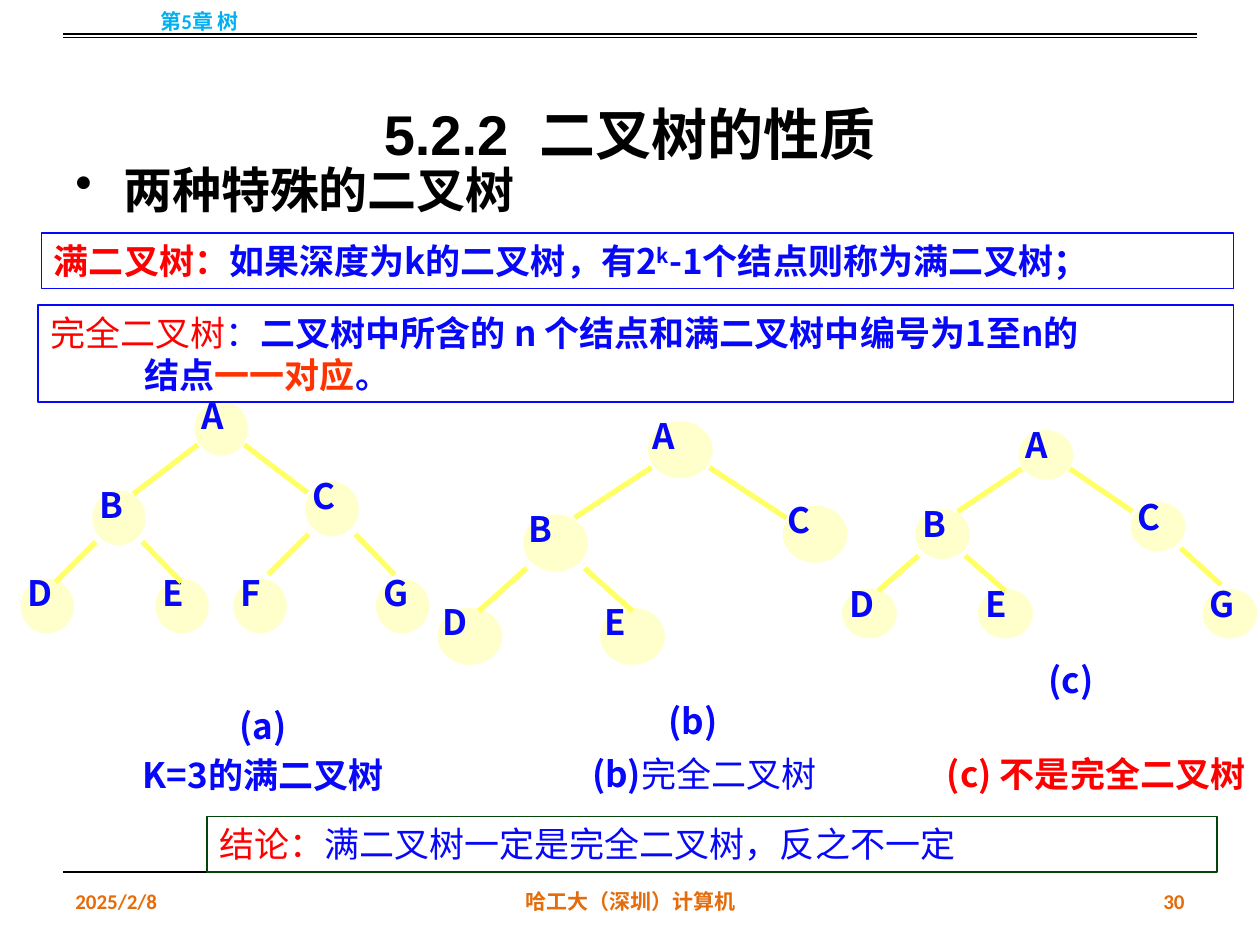
from pptx import Presentation
from pptx.dml.color import RGBColor
from pptx.enum.shapes import MSO_CONNECTOR as Connector, MSO_SHAPE as Shape
from pptx.enum.text import MSO_ANCHOR as Anchor, PP_ALIGN as Align
from pptx.oxml.ns import qn
from pptx.util import Pt
from lxml.etree import SubElement

PX = 9144
BLACK = RGBColor(0x00, 0x00, 0x00)
BLUE = RGBColor(0x07, 0x07, 0xF9)
RED = RGBColor(0xFF, 0x00, 0x00)
VERMILION = RGBColor(0xFF, 0x33, 0x00)
ORANGE = RGBColor(0xE4, 0x6C, 0x0A)
SKY = RGBColor(0x00, 0xB0, 0xF0)
GREEN = RGBColor(0x04, 0x44, 0x0A)
CREAM = RGBColor(0xFF, 0xFF, 0xCC)
YELLOW = RGBColor(0xFF, 0xFF, 0x66)
SANS, SERIF, CALIBRI, ARIAL = "Noto Sans CJK SC", "Times New Roman", "Calibri", "Arial"


class TreeSlide:
    """Draws styled text, frames, lines and binary trees on one slide."""

    def __init__(self, slide):
        self.slide = slide

    def fill_text(self, shape, lines, size=20, font=SANS, color=BLUE, bold=True,
                  align=Align.LEFT, anchor=Anchor.TOP, before=0, spacing=Pt(24)):
        frame = shape.text_frame
        frame.word_wrap = True
        frame.vertical_anchor = anchor
        for index, runs in enumerate(lines):
            paragraph = frame.paragraphs[0] if index == 0 else frame.add_paragraph()
            paragraph.alignment = align
            paragraph.space_before = Pt(before)
            paragraph.line_spacing = spacing
            paragraph.font.size = Pt(size)
            paragraph.font.name = font
            paragraph.font.bold = bold
            paragraph.font.color.rgb = color
            for text, style in runs:
                run = paragraph.add_run()
                run.text = text
                run.font.size = Pt(size)
                run.font.name = style.get("font", font)
                run.font.bold = style.get("bold", bold)
                run.font.color.rgb = style.get("color", color)
                if "baseline" in style:
                    run.font._element.set("baseline", str(style["baseline"]))
        return shape

    def text(self, box, lines, **style):
        shape = self.slide.shapes.add_textbox(*(length * PX for length in box))
        return self.fill_text(shape, lines, **style)

    def label(self, box, text, **style):
        return self.text(box, [[(text, {})]], **style)

    def frame(self, box, line_color, lines):
        shape = self.slide.shapes.add_shape(Shape.RECTANGLE, *(length * PX for length in box))
        shape.shadow.inherit = False
        shape.fill.background()
        shape.line.color.rgb = line_color
        shape.line.width = Pt(1)
        return self.fill_text(shape, lines)

    def line(self, start_x, start_y, end_x, end_y, color=BLACK, width=0.75):
        line = self.slide.shapes.add_connector(
            Connector.STRAIGHT, start_x * PX, start_y * PX, end_x * PX, end_y * PX)
        line.line.color.rgb = color
        line.line.width = Pt(width)
        SubElement(line._element.spPr, qn("a:effectLst"))

    def node(self, name, left, top, width, height):
        circle = self.slide.shapes.add_shape(
            Shape.OVAL, left * PX, top * PX, width * PX, height * PX)
        circle.shadow.inherit = False
        circle.fill.solid()
        circle.fill.fore_color.rgb = CREAM
        circle.line.color.rgb = CREAM
        circle.line.width = Pt(1)
        self.label((left - width // 4 - 1, top - 11, 76, 44), f" {name}")

    def tree(self, node_size, nodes, edges):
        for name, left, top in nodes:
            self.node(name, left, top, *node_size)
        for edge in edges:
            self.line(*edge, color=YELLOW, width=3)

    def indent(self, paragraph, margin, first=0):
        properties = paragraph._p.get_or_add_pPr()
        properties.set("marL", str(margin * PX))
        properties.set("indent", str(first * PX))
        return properties


def main():
    presentation = Presentation()
    presentation.slide_width = 1000 * PX
    presentation.slide_height = 750 * PX
    page = TreeSlide(presentation.slides.add_slide(presentation.slide_layouts[6]))

    page.label((50, 30, 900, 125), "5.2.2  二叉树的性质", size=32, font=ARIAL, color=BLACK,
               align=Align.CENTER, anchor=Anchor.MIDDLE, before=1.6, spacing=1.5)
    topic = page.label((50, 125, 900, 558), "两种特殊的二叉树", size=28, font=CALIBRI,
                       color=BLACK, before=5.6, spacing=Pt(31))
    properties = page.indent(topic.text_frame.paragraphs[0], 38, -38)
    bullet = SubElement(properties, qn("a:buChar"), char="•")
    properties.remove(bullet)
    properties.insert(2, bullet)

    small = dict(size=12, font=CALIBRI, anchor=Anchor.MIDDLE, spacing=1.0)
    for left, width, text, align in (
            (50, 233, "2025/2/8", Align.LEFT),
            (342, 317, "哈工大（深圳）计算机", Align.CENTER),
            (717, 233, "30", Align.RIGHT)):
        page.label((left, 695, width, 40), text, color=ORANGE, align=align, **small)
    for y in (27, 30, 692):
        page.line(50, y, 950, y)
    page.label((0, -3, 317, 40), "第5章 树", color=SKY, align=Align.CENTER, **small)

    page.tree((41, 42), (
        ("A", 155, 319), ("G", 299, 460), ("F", 186, 460), ("E", 124, 460),
        ("D", 17, 460), ("C", 243, 383), ("B", 74, 390)), (
        (157, 353, 106, 392), (194, 353, 244, 391), (113, 430, 144, 462),
        (245, 424, 213, 456), (76, 430, 44, 462), (282, 424, 313, 456)))
    page.text((41, 554, 336, 84), [[("(a)", {})], [("K=3的满二叉树", {})]],
              align=Align.CENTER, before=4)

    page.frame((33, 185, 946, 44), BLUE, [[
        ("满二叉树：", {"color": RED}), ("如果深度为k的二叉树，有2", {}),
        ("k", {"baseline": 30000}), ("-1个结点则称为满二叉树；", {})]])
    complete = page.frame((30, 242, 949, 77), BLUE, [
        [("完全二叉树", {"font": SERIF, "color": RED, "bold": False}),
         ("：", {"font": SERIF, "bold": False}),
         ("二叉树中所含的 n 个结点和满二叉树中编号为1至n的", {})],
        [("结点", {}), ("一一对应", {"color": VERMILION}), ("。", {})]])
    page.indent(complete.text_frame.paragraphs[1], 75)

    page.tree((50, 44), (
        ("A", 515, 335), ("E", 477, 483), ("D", 348, 483), ("C", 622, 402), ("B", 416, 409)), (
        (517, 371, 456, 411), (563, 371, 624, 411),
        (464, 451, 502, 485), (418, 451, 380, 485)))
    page.label((489, 550, 122, 44), "(b)", align=Align.CENTER)

    page.tree((42, 38), (
        ("G", 955, 468), ("A", 809, 342), ("E", 777, 468),
        ("D", 669, 468), ("C", 898, 399), ("B", 727, 405)), (
        (811, 372, 760, 406), (849, 372, 899, 406), (766, 441, 798, 469),
        (729, 441, 697, 469), (937, 435, 969, 464)))
    page.label((796, 518, 108, 44), "(c)", align=Align.CENTER)

    plain = {"font": SERIF, "bold": False}
    captions = (
        (376, [("(b)", {}), ("完全二叉树", plain)], BLUE),
        (687, [("(c) 不是", {}), ("完全二叉树", {"font": SERIF})], RED))
    for left, runs, color in captions:
        caption = page.text((left, 592, 366, 44), [runs], color=color, align=Align.CENTER)
        page.indent(caption.text_frame.paragraphs[0], 50, -50)
    page.frame((164, 648, 802, 44), GREEN, [[
        ("结论：", {**plain, "color": RED}), ("满二叉树一定是完全二叉树，反之不一定", plain)]])

    presentation.save("out.pptx")


if __name__ == "__main__":
    main()
